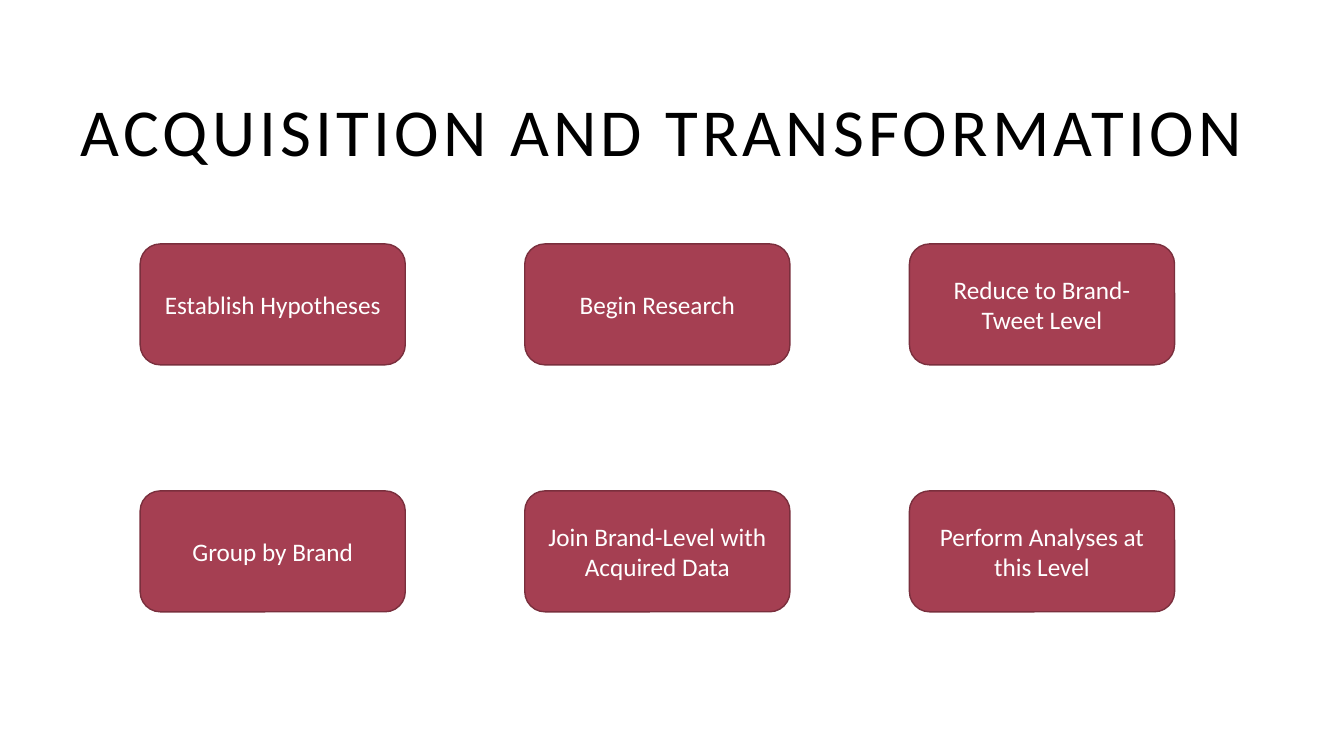
"""Build the slide on the steps of acquisition and transformation."""
from dataclasses import dataclass

from pptx import Presentation
from pptx.dml.color import RGBColor
from pptx.enum import shapes, text
from pptx.slide import Slide
from pptx.text.text import TextFrame
from pptx.util import Inches, Pt


@dataclass(frozen=True)
class Step:
    label: str
    column: int
    row: int


STEPS = [
    Step("Establish Hypotheses", 0, 0),
    Step("Begin Research", 1, 0),
    Step("Reduce to Brand-Tweet Level", 2, 0),
    Step("Group by Brand", 0, 1),
    Step("Join Brand-Level with Acquired Data", 1, 1),
    Step("Perform Analyses at this Level", 2, 1),
]
GRID_LEFT, GRID_TOP = 1.39, 2.42
COLUMN_PITCH, ROW_PITCH = 3.815, 2.45
STEP_WIDTH, STEP_HEIGHT = 2.63, 1.2


def rgb(value: str) -> RGBColor:
    """Turn a hex string into a colour."""
    return RGBColor.from_string(value)


def write(frame: TextFrame, words: str, *, size: float, color: str, spacing: float = 0) -> None:
    """Write one centred line of words into a frame."""
    frame.word_wrap = True
    frame.auto_size = text.MSO_AUTO_SIZE.NONE
    frame.vertical_anchor = text.MSO_ANCHOR.MIDDLE
    paragraph = frame.paragraphs[0]
    paragraph.alignment = text.PP_ALIGN.CENTER
    run = paragraph.add_run()
    run.text = words
    run.font.name = "Calibri"
    run.font.size = Pt(size)
    run.font.color.rgb = rgb(color)
    if spacing:
        run.font._element.set("spc", str(int(spacing * 100)))


def draw_title(slide: Slide, words: str) -> None:
    """Place and fill the title."""
    title = slide.shapes.title
    title.left, title.top = Inches(0.65), Inches(0.84)
    title.width, title.height = Inches(12.03), Inches(0.9)
    title.text_frame.margin_left = title.text_frame.margin_right = 0
    write(title.text_frame, words, size=48, color="000000", spacing=3)


def draw_step(slide: Slide, step: Step) -> None:
    """Draw one step at its place in the grid."""
    card = slide.shapes.add_shape(
        shapes.MSO_SHAPE.ROUNDED_RECTANGLE,
        Inches(GRID_LEFT + step.column * COLUMN_PITCH),
        Inches(GRID_TOP + step.row * ROW_PITCH),
        Inches(STEP_WIDTH),
        Inches(STEP_HEIGHT),
    )
    card.shadow.inherit = False
    card.fill.solid()
    card.fill.fore_color.rgb = rgb("A53F52")
    card.line.color.rgb = rgb("7A2F3D")
    card.line.width = Pt(1)
    write(card.text_frame, step.label, size=18, color="FFFFFF")


def main() -> None:
    """Build and save the presentation."""
    deck = Presentation()
    deck.slide_width, deck.slide_height = Inches(13.33), Inches(7.5)
    slide = deck.slides.add_slide(deck.slide_layouts[5])
    draw_title(slide, "ACQUISITION AND TRANSFORMATION ")
    for step in STEPS:
        draw_step(slide, step)
    deck.save("out.pptx")


if __name__ == "__main__":
    main()
